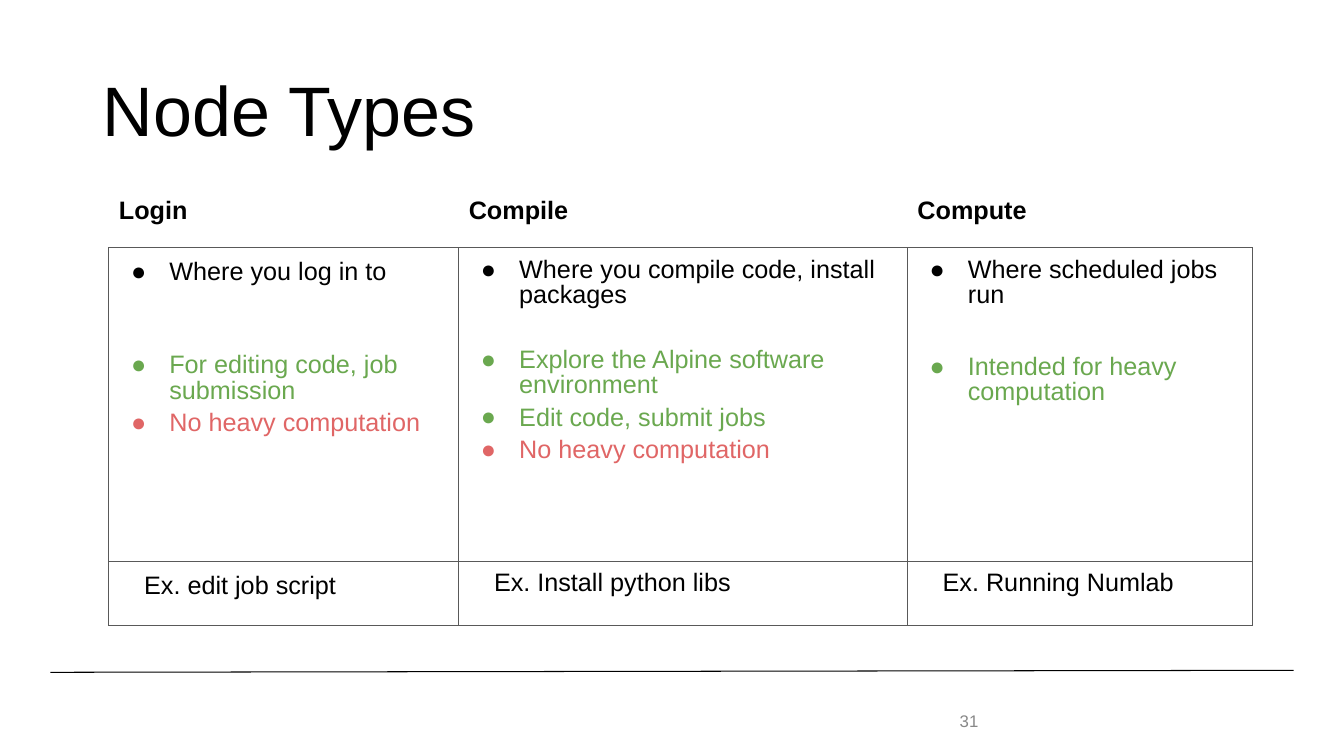
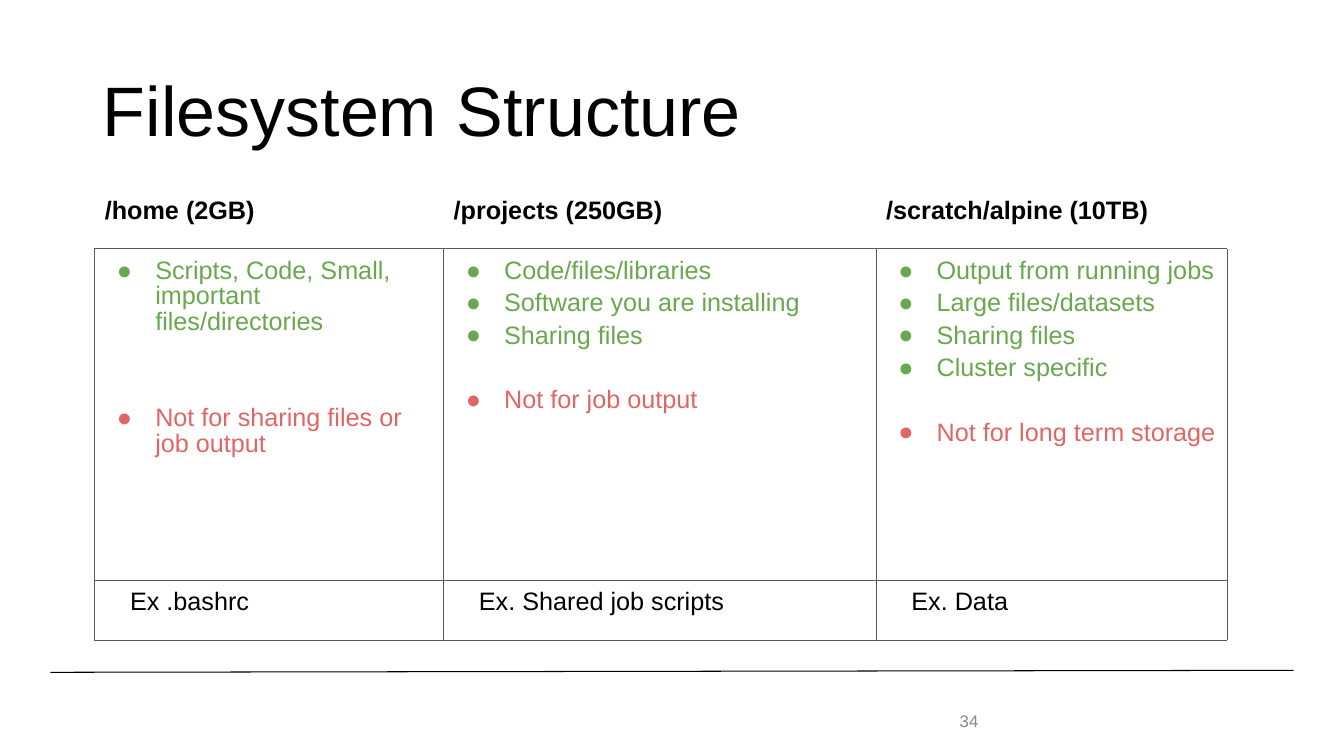
import dataclasses

import pptx
import pptx.dml.color
import pptx.enum.shapes
import pptx.enum.text
import pptx.oxml.ns
import pptx.util
from lxml import etree
from pptx.util import Inches, Pt

# Shared style
FONT = "Arial"
BLACK = pptx.dml.color.RGBColor(0x00, 0x00, 0x00)
WHITE = pptx.dml.color.RGBColor(0xFF, 0xFF, 0xFF)
GREEN = pptx.dml.color.RGBColor(0x6A, 0xA8, 0x4F)
RED = pptx.dml.color.RGBColor(0xE0, 0x66, 0x66)
GREY = pptx.dml.color.RGBColor(0x88, 0x88, 0x88)
BORDER = pptx.dml.color.RGBColor(0x59, 0x59, 0x59)
BODY_SIZE = 18
BULLET_HANG = 0.38
EXAMPLE_HANG = 0.25
TABLE_TOP = 1.85


@dataclasses.dataclass
class Point:
    """One paragraph of a table cell."""
    text: str
    color: pptx.dml.color.RGBColor = BLACK
    before: float = 5
    line_spacing: float = 0.9


@dataclasses.dataclass
class Column:
    width: float
    heading: str
    points: list
    example: Point


# Content
NODE_COLUMNS = [
    Column(3.47, "Login", [
        Point("Where you log in to", line_spacing=1),
        Point("For editing code, job submission", GREEN, 48),
        Point("No heavy computation", RED),
    ], Point("Ex. edit job script", line_spacing=1)),
    Column(4.45, "Compile", [
        Point("Where you compile code, install packages"),
        Point("Explore the Alpine software environment", GREEN, 28),
        Point("Edit code, submit jobs", GREEN),
        Point("No heavy computation", RED),
    ], Point("Ex. Install python libs")),
    Column(3.42, "Compute", [
        Point("Where scheduled jobs run"),
        Point("Intended for heavy computation", GREEN, 33),
    ], Point("Ex. Running Numlab")),
]
FILESYSTEM_COLUMNS = [
    Column(3.46, "/home (2GB)", [
        Point("Scripts, Code, Small, important files/directories", GREEN),
        Point("Not for sharing files or job output", RED, 51),
    ], Point("Ex .bashrc")),
    Column(4.29, "/projects (250GB)", [
        Point("Code/files/libraries", GREEN),
        Point("Software you are installing", GREEN),
        Point("Sharing files", GREEN),
        Point("Not for job output", RED, 28),
    ], Point("Ex. Shared job scripts")),
    Column(3.48, "/scratch/alpine (10TB)", [
        Point("Output from running jobs", GREEN),
        Point("Large files/datasets", GREEN),
        Point("Sharing files", GREEN),
        Point("Cluster specific", GREEN),
        Point("Not for long term storage", RED, 28),
    ], Point("Ex. Data")),
]


# Text helpers
def add_xml(parent, tag, **attributes):
    return etree.SubElement(parent, pptx.oxml.ns.qn(tag), attributes)


def add_run(paragraph, text, size, color, bold=False):
    run = paragraph.add_run()
    run.text = text
    run.font.name = FONT
    run.font.size = Pt(size)
    run.font.bold = bold
    run.font.color.rgb = color


def set_indent(paragraph, hang):
    properties = paragraph._p.get_or_add_pPr()
    properties.set("marL", str(Inches(0.5)))
    properties.set("indent", str(-Inches(hang)))
    return properties


def add_bullet(properties, color):
    bullet_color = add_xml(properties, "a:buClr")
    add_xml(bullet_color, "a:srgbClr", val=str(color))
    add_xml(properties, "a:buFont", typeface=FONT)
    add_xml(properties, "a:buChar", char="●")


def add_points(cell, points, hang, bulleted):
    for index, point in enumerate(points):
        frame = cell.text_frame
        paragraph = frame.add_paragraph() if index else frame.paragraphs[0]
        paragraph.line_spacing = point.line_spacing
        paragraph.space_before = Pt(point.before if index else 0)
        properties = set_indent(paragraph, hang)
        if bulleted:
            add_bullet(properties, point.color)
        add_run(paragraph, point.text, BODY_SIZE, point.color)


# Slide parts
def add_title(slide, text):
    title = slide.shapes.title
    title.left, title.top = Inches(0.92), Inches(0.4)
    title.width, title.height = Inches(11.5), Inches(1.45)
    title.text_frame.vertical_anchor = pptx.enum.text.MSO_ANCHOR.MIDDLE
    paragraph = title.text_frame.paragraphs[0]
    paragraph.alignment = pptx.enum.text.PP_ALIGN.LEFT
    paragraph.line_spacing = 0.9
    add_run(paragraph, text, 50, BLACK)


def add_footer(slide, number):
    rule = slide.shapes.add_connector(
        pptx.enum.shapes.MSO_CONNECTOR.STRAIGHT,
        Inches(0.5), Inches(6.67), Inches(12.83), Inches(6.65))
    rule.line.color.rgb = BLACK
    rule.line.width = Pt(0.75)
    add_xml(rule._element.spPr, "a:effectLst")

    box = slide.shapes.add_textbox(
        Inches(9.42), Inches(6.95), Inches(0.75), Inches(0.4))
    box.text_frame.word_wrap = True
    box.text_frame.vertical_anchor = pptx.enum.text.MSO_ANCHOR.MIDDLE
    add_run(box.text_frame.paragraphs[0], str(number), 12, GREY)


def format_cell(cell, is_heading):
    cell.margin_left = cell.margin_right = Inches(0.1)
    cell.margin_top = cell.margin_bottom = Inches(0.1)
    properties = cell._tc.get_or_add_tcPr()
    for side in ("L", "R", "T", "B"):
        color = WHITE if is_heading and side != "B" else BORDER
        line = add_xml(properties, "a:ln" + side, w=str(Pt(0.75)))
        fill = add_xml(line, "a:solidFill")
        add_xml(fill, "a:srgbClr", val=str(color))
    cell.fill.background()


def add_comparison_table(slide, left, row_heights, columns):
    width = sum(column.width for column in columns)
    table = slide.shapes.add_table(
        len(row_heights), len(columns), Inches(left), Inches(TABLE_TOP),
        Inches(width), Inches(sum(row_heights))).table
    table.first_row = table.horz_banding = False
    for row, height in zip(table.rows, row_heights):
        row.height = Inches(height)
    for index, column in enumerate(columns):
        table.columns[index].width = Inches(column.width)
        heading, body, example = (
            table.cell(row, index) for row in range(len(row_heights)))
        for cell in (heading, body, example):
            format_cell(cell, cell is heading)
        add_run(heading.text_frame.paragraphs[0], column.heading,
                BODY_SIZE, BLACK, bold=True)
        add_points(body, column.points, BULLET_HANG, bulleted=True)
        add_points(example, [column.example], EXAMPLE_HANG, bulleted=False)


def add_comparison_slide(presentation, title, number, left, row_heights, columns):
    slide = presentation.slides.add_slide(presentation.slide_layouts[5])
    add_footer(slide, number)
    add_title(slide, title)
    add_comparison_table(slide, left, row_heights, columns)


def main():
    presentation = pptx.Presentation()
    presentation.slide_width = Inches(13.33)
    presentation.slide_height = Inches(7.5)
    add_comparison_slide(presentation, "Node Types", 31,
                         1.08, (0.61, 3.11, 0.64), NODE_COLUMNS)
    add_comparison_slide(presentation, "Filesystem Structure", 34,
                         0.94, (0.62, 3.29, 0.59), FILESYSTEM_COLUMNS)
    presentation.save("out.pptx")


if __name__ == "__main__":
    main()
